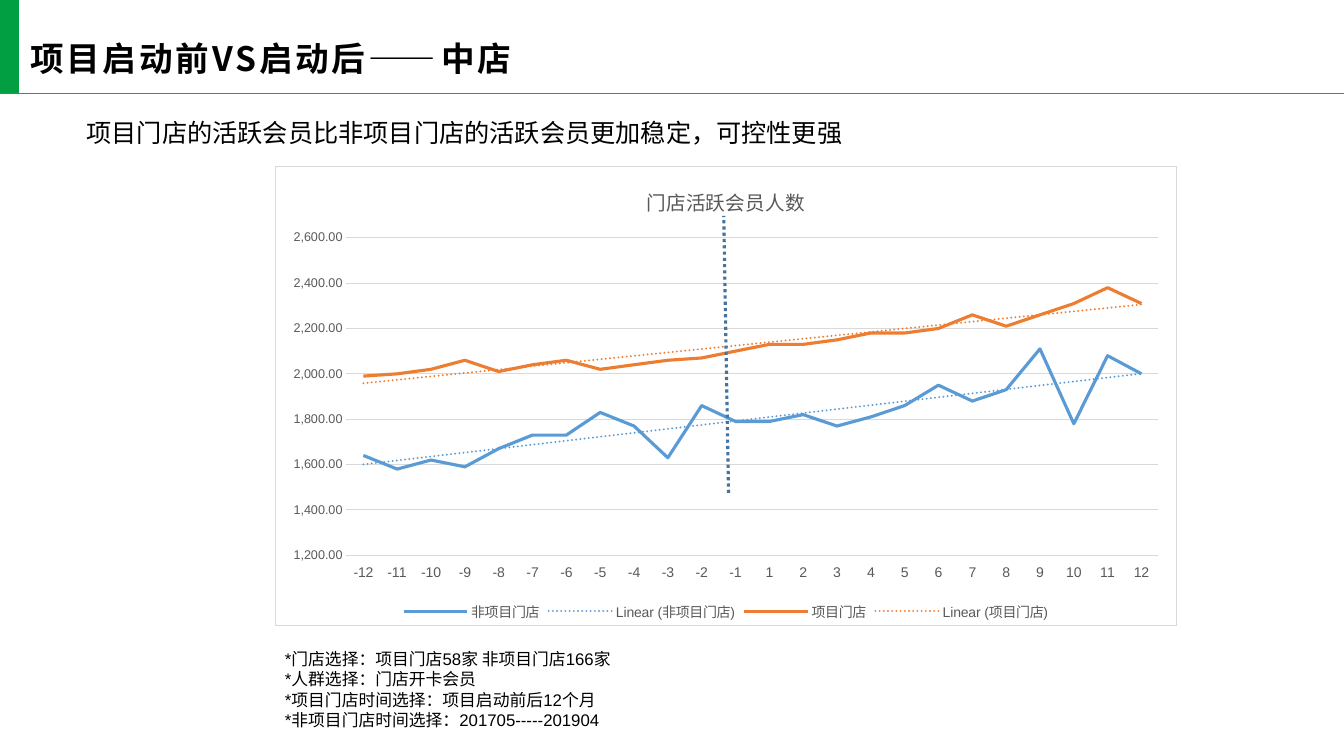
from dataclasses import dataclass

from lxml.etree import SubElement
from pptx import Presentation
from pptx.chart.chart import Chart
from pptx.chart.data import CategoryChartData
from pptx.dml.color import RGBColor
from pptx.dml.line import LineFormat
from pptx.enum.chart import XL_CHART_TYPE as ChartType
from pptx.enum.chart import XL_LEGEND_POSITION as LegendPosition
from pptx.enum.chart import XL_TICK_LABEL_POSITION as LabelPosition
from pptx.enum.chart import XL_TICK_MARK as TickMark
from pptx.enum.dml import MSO_LINE as Dash
from pptx.enum.shapes import MSO_CONNECTOR as Connector
from pptx.enum.shapes import MSO_SHAPE as Preset
from pptx.enum.text import MSO_ANCHOR as Anchor
from pptx.oxml import parse_xml
from pptx.oxml.ns import nsdecls, qn
from pptx.slide import Slide
from pptx.text.text import Font
from pptx.util import Cm, Pt


@dataclass(frozen=True)
class Theme:
    latin: str = "Arial"
    cjk: str = "Noto Sans CJK SC"
    ink: str = "000000"
    muted: str = "595959"
    grid: str = "D9D9D9"
    paper: str = "FFFFFF"
    accent: str = "029E42"
    rule: str = "00B050"
    launch: str = "43739E"
    title_size: float = 24
    lead_size: float = 18
    chart_title_size: float = 14
    note_size: float = 12
    label_size: float = 10
    value_size: float = 9


@dataclass(frozen=True)
class Box:
    left: float
    top: float
    width: float
    height: float

    def lengths(self) -> tuple[Cm, Cm, Cm, Cm]:
        return Cm(self.left), Cm(self.top), Cm(self.width), Cm(self.height)


@dataclass(frozen=True)
class StoreGroup:
    name: str
    color: str
    members: tuple[int, ...]


THEME = Theme()
MONTHS = [str(month) for month in range(-12, 13) if month]
STORE_GROUPS = (
    StoreGroup("非项目门店", "5B9BD5", (
        1640, 1580, 1620, 1590, 1670, 1730, 1730, 1830, 1770, 1630, 1860, 1790,
        1790, 1820, 1770, 1810, 1860, 1950, 1880, 1930, 2110, 1780, 2080, 2000)),
    StoreGroup("项目门店", "ED7D31", (
        1990, 2000, 2020, 2060, 2010, 2040, 2060, 2020, 2040, 2060, 2070, 2100,
        2130, 2130, 2150, 2180, 2180, 2200, 2260, 2210, 2260, 2310, 2380, 2310)),
)
NOTES = """*门店选择：项目门店58家 非项目门店166家
*人群选择：门店开卡会员
*项目门店时间选择：项目启动前后12个月
*非项目门店时间选择：201705-----201904"""


def style_font(font: Font, size: float, color: str, name: str = THEME.latin,
               bold: bool = False) -> None:
    font.size = Pt(size)
    font.name = name
    font.bold = bold
    font.color.rgb = RGBColor.from_string(color)


def style_line(line: LineFormat, color: str, width: float) -> None:
    line.color.rgb = RGBColor.from_string(color)
    line.width = Pt(width)


def add_text(slide: Slide, text: str, box: Box, *, size: float,
             name: str = THEME.latin, bold: bool = False, spacing: float = 0,
             left_inset: float = 0.25, anchor: Anchor = Anchor.TOP) -> None:
    frame = slide.shapes.add_textbox(*box.lengths()).text_frame
    frame.word_wrap = True
    frame.vertical_anchor = anchor
    frame.margin_left = Cm(left_inset)
    frame.text = text
    for paragraph in frame.paragraphs:
        for run in paragraph.runs:
            style_font(run.font, size, THEME.ink, name, bold)
            properties = run._r.get_or_add_rPr()
            if spacing:
                properties.set("spc", str(int(spacing * 100)))
            SubElement(properties, qn("a:ea")).set("typeface", THEME.cjk)


def add_line(slide: Slide, start: tuple[float, float], end: tuple[float, float],
             color: str, width: float, dash: Dash | None = None) -> None:
    line = slide.shapes.add_connector(
        Connector.STRAIGHT, Cm(start[0]), Cm(start[1]), Cm(end[0]), Cm(end[1]))
    style_line(line.line, color, width)
    if dash is not None:
        line.line.dash_style = dash
    SubElement(line._element.spPr, qn("a:effectLst"))


def frame_chart(chart: Chart) -> None:
    border = parse_xml(
        f'<c:spPr {nsdecls("c", "a")}>'
        f'<a:solidFill><a:srgbClr val="{THEME.paper}"/></a:solidFill>'
        f'<a:ln w="{Pt(0.75)}"><a:solidFill><a:srgbClr val="{THEME.grid}"/>'
        '</a:solidFill></a:ln></c:spPr>')
    chart._chartSpace.find(qn("c:chart")).addnext(border)


def style_axes(chart: Chart) -> None:
    months, members = chart.category_axis, chart.value_axis
    for axis, size in ((months, THEME.label_size), (members, THEME.value_size)):
        axis.major_tick_mark = axis.minor_tick_mark = TickMark.NONE
        style_font(axis.tick_labels.font, size, THEME.muted)
    months.tick_label_position = LabelPosition.LOW
    style_line(months.format.line, THEME.grid, 0.75)
    members.minimum_scale, members.maximum_scale = 1200, 2600
    members.major_unit = 200
    members.tick_labels.number_format = "#,##0.00"
    members.tick_labels.number_format_is_linked = False
    members.format.line.fill.background()
    style_line(members.major_gridlines.format.line, THEME.grid, 0.75)


def style_groups(chart: Chart) -> None:
    for series, group in zip(chart.plots[0].series, STORE_GROUPS):
        series.smooth = False
        style_line(series.format.line, group.color, 2.25)
        trend = parse_xml(
            f'<c:trendline {nsdecls("c", "a")}><c:spPr><a:ln w="{Pt(1.5)}" cap="rnd">'
            f'<a:solidFill><a:srgbClr val="{group.color}"/></a:solidFill>'
            '<a:prstDash val="sysDot"/></a:ln></c:spPr>'
            '<c:trendlineType val="linear"/><c:dispRSqr val="0"/>'
            '<c:dispEq val="0"/></c:trendline>')
        series._element.find(qn("c:cat")).addprevious(trend)


def add_member_chart(slide: Slide, box: Box) -> None:
    data = CategoryChartData(number_format="#,##0.00")
    data.categories = MONTHS
    for group in STORE_GROUPS:
        data.add_series(group.name, group.members)
    chart = slide.shapes.add_chart(ChartType.LINE, *box.lengths(), data).chart
    style_font(chart.font, THEME.label_size, THEME.ink)
    chart.plots[0].vary_by_categories = False
    heading = chart.chart_title.text_frame
    heading.text = "门店活跃会员人数"
    style_font(heading.paragraphs[0].runs[0].font, THEME.chart_title_size, THEME.muted)
    chart.chart_title.include_in_layout = False
    chart.has_legend = True
    chart.legend.position = LegendPosition.BOTTOM
    chart.legend.include_in_layout = False
    style_font(chart.legend.font, THEME.label_size, THEME.muted)
    style_axes(chart)
    style_groups(chart)
    frame_chart(chart)


def main() -> None:
    deck = Presentation()
    deck.slide_width, deck.slide_height = Cm(33.87), Cm(19.05)
    slide = deck.slides.add_slide(deck.slide_layouts[6])

    accent_bar = slide.shapes.add_shape(Preset.RECTANGLE, *Box(0, 0, 0.48, 2.36).lengths())
    accent_bar.shadow.inherit = False
    accent_bar.fill.solid()
    accent_bar.fill.fore_color.rgb = RGBColor.from_string(THEME.accent)
    accent_bar.line.fill.background()
    add_line(slide, (0, 2.36), (33.87, 2.36), THEME.rule, 1)

    add_text(slide, "项目启动前VS启动后——中店", Box(0.48, 0.56, 14.94, 1.8),
             size=THEME.title_size, name=THEME.cjk, bold=True, spacing=2,
             left_inset=0.28, anchor=Anchor.MIDDLE)
    add_text(slide, NOTES, Box(6.93, 16.23, 20.27, 2.31), size=THEME.note_size)
    add_member_chart(slide, Box(6.93, 4.19, 22.73, 11.58))
    add_line(slide, (18.36, 12.42), (18.24, 5.44), THEME.launch, 2.25, Dash.ROUND_DOT)
    add_text(slide, "项目门店的活跃会员比非项目门店的活跃会员更加稳定，可控性更强",
             Box(1.93, 2.84, 20.78, 1.02), size=THEME.lead_size)
    deck.save("out.pptx")


if __name__ == "__main__":
    main()
